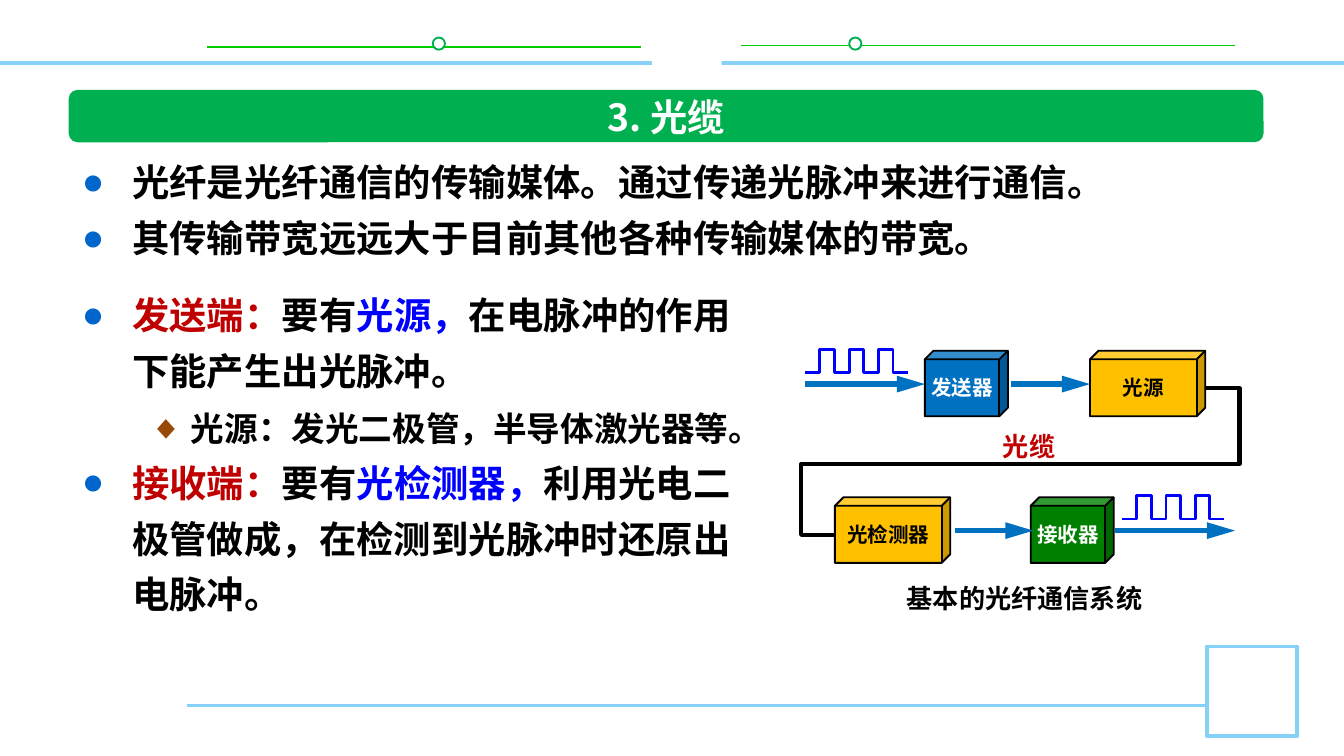
import pptx
import pptx.util
import pptx.dml.color
import pptx.enum.shapes
import pptx.enum.text
import pptx.oxml.ns
from dataclasses import dataclass
from lxml import etree
from pptx.util import Cm

SHAPE = pptx.enum.shapes.MSO_SHAPE
CONNECTOR = pptx.enum.shapes.MSO_CONNECTOR
ALIGN = pptx.enum.text.PP_ALIGN
ANCHOR = pptx.enum.text.MSO_ANCHOR
qn = pptx.oxml.ns.qn


@dataclass(frozen=True)
class Theme:
    font: str = "Noto Sans CJK SC"
    black: str = "000000"
    white: str = "FFFFFF"
    green: str = "00B050"
    bright_green: str = "00CC00"
    sky: str = "85D1F7"
    red: str = "C00000"
    blue: str = "0000FF"
    device_blue: str = "0070C0"
    device_green: str = "008000"
    device_gold: str = "FFC000"
    bullet_blue: str = "0066CC"
    bullet_brown: str = "984807"
    body: int = 20
    sub: int = 18
    caption: int = 14
    label: int = 11
    leading: int = 30


T = Theme()
# Bullet character, colour, left margin and hanging indent in cm
BULLETS = [("●", T.bullet_blue, 0.95, 0.95), ("◆", T.bullet_brown, 2.06, 0.79)]


def rgb(value):
    return pptx.dml.color.RGBColor.from_string(value)


def add_bullet(p, level):
    char, color, margin, hang = BULLETS[level]
    p.level = level
    pPr = p._p.get_or_add_pPr()
    pPr.set("marL", str(Cm(margin)))
    pPr.set("indent", str(-Cm(hang)))
    bu_clr = etree.SubElement(pPr, qn("a:buClr"))
    etree.SubElement(bu_clr, qn("a:srgbClr"), val=color)
    etree.SubElement(pPr, qn("a:buFont"), typeface="Arial")
    etree.SubElement(pPr, qn("a:buChar"), char=char)


def add_text(p, text, size=T.body, color=T.black):
    r = p.add_run()
    r.text = text
    r.font.size = pptx.util.Pt(size)
    r.font.bold = True
    r.font.color.rgb = rgb(color)
    r.font.name = T.font
    etree.SubElement(r._r.get_or_add_rPr(), qn("a:ea"), typeface=T.font)


def add_label(slide, box, text, **fmt):
    tf = slide.shapes.add_textbox(*map(Cm, box)).text_frame
    tf.word_wrap = True
    tf.paragraphs[0].alignment = ALIGN.CENTER
    add_text(tf.paragraphs[0], text, **fmt)


def style(sp, fill=None, line=None, width=1):
    sp.shadow.inherit = False
    if fill:
        sp.fill.solid()
        sp.fill.fore_color.rgb = rgb(fill)
    else:
        sp.fill.background()
    if line:
        sp.line.color.rgb = rgb(line)
        sp.line.width = pptx.util.Pt(width)
    else:
        sp.line.fill.background()


def add_shape(slide, kind, box, **fmt):
    sp = slide.shapes.add_shape(kind, *map(Cm, box))
    style(sp, **fmt)
    return sp


def add_line(slide, ends, color, width, arrow=False, kind=CONNECTOR.STRAIGHT):
    line = slide.shapes.add_connector(kind, *map(Cm, ends))
    line.line.color.rgb = rgb(color)
    line.line.width = pptx.util.Pt(width)
    if arrow:
        etree.SubElement(line.line._get_or_add_ln(), qn("a:tailEnd"),
                         type="triangle", w="med", len="lg")
    etree.SubElement(line._element.spPr, qn("a:effectLst"))
    return line


def add_frame(slide, w):
    """Draw the decorative rules around the slide of the given width."""
    for x1, x2, y, dot in [(3.91, 12.12, 0.89, 8.18), (14, 23.34, 0.86, 16.05)]:
        add_line(slide, (x1, y, x2, y), T.bright_green, 1)
        add_shape(slide, SHAPE.OVAL, (dot, 0.71, 0.23, 0.23), fill=T.white, line=T.green)
    add_line(slide, (3.53, 13.34, 22.81, 13.34), T.sky, 1.5)
    add_shape(slide, SHAPE.RECTANGLE, (22.81, 12.22, 1.7, 1.7),
              fill=T.white, line=T.sky, width=2)
    add_line(slide, (0, 1.19, w, 1.19), T.sky, 2)
    add_shape(slide, SHAPE.RECTANGLE, (12.32, 0.36, 1.32, 1.3), fill=T.white)


def add_title(slide, box, text):
    bar = add_shape(slide, SHAPE.ROUNDED_RECTANGLE, box, fill=T.green)
    bar.adjustments[0] = 0.167
    title = slide.shapes.title
    x, y, w, h = box
    margin = 2.18
    title.left, title.top, title.width, title.height = map(
        Cm, (x + margin, y, w - 2 * margin, h))
    title._element.getparent().append(title._element)  # in front of the bar
    tf = title.text_frame
    tf.vertical_anchor = ANCHOR.MIDDLE
    tf.paragraphs[0].alignment = ALIGN.CENTER
    add_text(tf.paragraphs[0], text, color=T.white)


def add_bullets(slide, box, items):
    """Each item is a level and its runs, given as (text, colour) pairs."""
    tf = slide.shapes.add_textbox(*map(Cm, box)).text_frame
    tf.word_wrap = True
    for i, (level, runs) in enumerate(items):
        p = tf.add_paragraph() if i else tf.paragraphs[0]
        p.line_spacing = pptx.util.Pt(T.leading)
        add_bullet(p, level)
        for text, color in runs:
            add_text(p, text, size=T.sub if level else T.body, color=color)


def add_device(slide, box, text, fill, color):
    cube = add_shape(slide, SHAPE.CUBE, box, fill=fill, line=T.black)
    cube.adjustments[0] = 0.131
    tf = cube.text_frame
    tf.margin_left = tf.margin_right = tf.margin_top = tf.margin_bottom = 0
    tf.word_wrap = False
    tf.vertical_anchor = ANCHOR.MIDDLE
    tf.paragraphs[0].alignment = ALIGN.CENTER
    add_text(tf.paragraphs[0], text, size=T.label, color=color)


def add_pulses(slide, x, y, step=0.276, h=0.44, count=3):
    """Draw a square wave that starts and ends low."""
    points = [(x, y + h)]
    for i in range(2 * count + 1):
        level = y if i % 2 else y + h
        points += [(x + i * step, level), (x + (i + 1) * step, level)]
    points = [(Cm(px), Cm(py)) for px, py in points]
    builder = slide.shapes.build_freeform(*points[0])
    builder.add_line_segments(points[2:], close=False)
    style(builder.convert_to_shape(), line=T.blue, width=1.5)


def add_cable(slide, ends):
    cable = add_line(slide, ends, T.black, 2.25, kind=CONNECTOR.ELBOW)
    geom = cable._element.spPr.find(qn("a:prstGeom"))
    geom.set("prst", "bentConnector5")
    guides = geom.find(qn("a:avLst"))
    if guides is None:
        guides = etree.SubElement(geom, qn("a:avLst"))
    for i, value in enumerate((-9100, 51700, 109100), 1):
        etree.SubElement(guides, qn("a:gd"), name=f"adj{i}", fmla=f"val {value}")


def add_system(slide, box):
    """Draw the fibre link: sending row, cable, receiving row and caption."""
    x, y, w, h = box
    row = 2.77
    devices = [
        (2.34, 0, 1.57, "发送器", T.device_blue, T.white),
        (5.46, 0, 2.18, "光源", T.device_gold, T.black),
        (0.64, row, 2.18, "光检测器", T.device_gold, T.black),
        (4.34, row, 1.57, "接收器", T.device_green, T.white),
    ]
    for dx, dy, dw, text, fill, color in devices:
        add_device(slide, (x + dx, y + dy + 0.03, dw, 1.24), text, fill, color)
    arrows = [(0.08, 2.34, 0), (3.96, 5.46, 0), (2.9, 4.39, row), (5.94, 8.2, row)]
    for x1, x2, dy in arrows:
        level = y + dy + 0.66
        add_line(slide, (x + x1, level, x + x2, level), T.device_blue, 3, arrow=True)
    add_pulses(slide, x + 0.08, y)
    add_pulses(slide, x + 6.07, y + row)
    add_cable(slide, (x + 7.65, y + 0.74, x + 0.64, y + 3.51))
    add_label(slide, (x + 3.56, y + 1.42, 1.5, 0.86), "光缆", size=T.caption, color=T.red)
    add_label(slide, (x + 0.3, y + h - 0.86, w - 0.43, 0.86), "基本的光纤通信系统",
              size=T.caption)


def main():
    prs = pptx.Presentation()
    prs.slide_width, prs.slide_height = Cm(25.4), Cm(14.29)
    slide = prs.slides.add_slide(prs.slide_layouts[5])
    add_frame(slide, 25.4)
    add_title(slide, (1.3, 1.7, 22.58, 0.99), "3. 光缆")
    add_bullets(slide, (1.3, 2.67, 22.58, 9.37), [
        (0, [("光纤是光纤通信的传输媒体。通过传递光脉冲来进行通信。", T.black)]),
        (0, [("其传输带宽远远大于目前其他各种传输媒体的带宽。", T.black)]),
    ])
    add_bullets(slide, (1.3, 5.18, 12.95, 6.73), [
        (0, [("发送端：", T.red), ("要有", T.black), ("光源，", T.blue),
             ("在电脉冲的作用下能产生出光脉冲。", T.black)]),
        (1, [("光源：发光二极管，半导体激光器等。", T.black)]),
        (0, [("接收端：", T.red), ("要有", T.black), ("光检测器，", T.blue),
             ("利用光电二极管做成，在检测到光脉冲时还原出电脉冲。", T.black)]),
    ])
    add_system(slide, (15.14, 6.6, 8.28, 5.15))
    prs.save("out.pptx")


if __name__ == "__main__":
    main()
